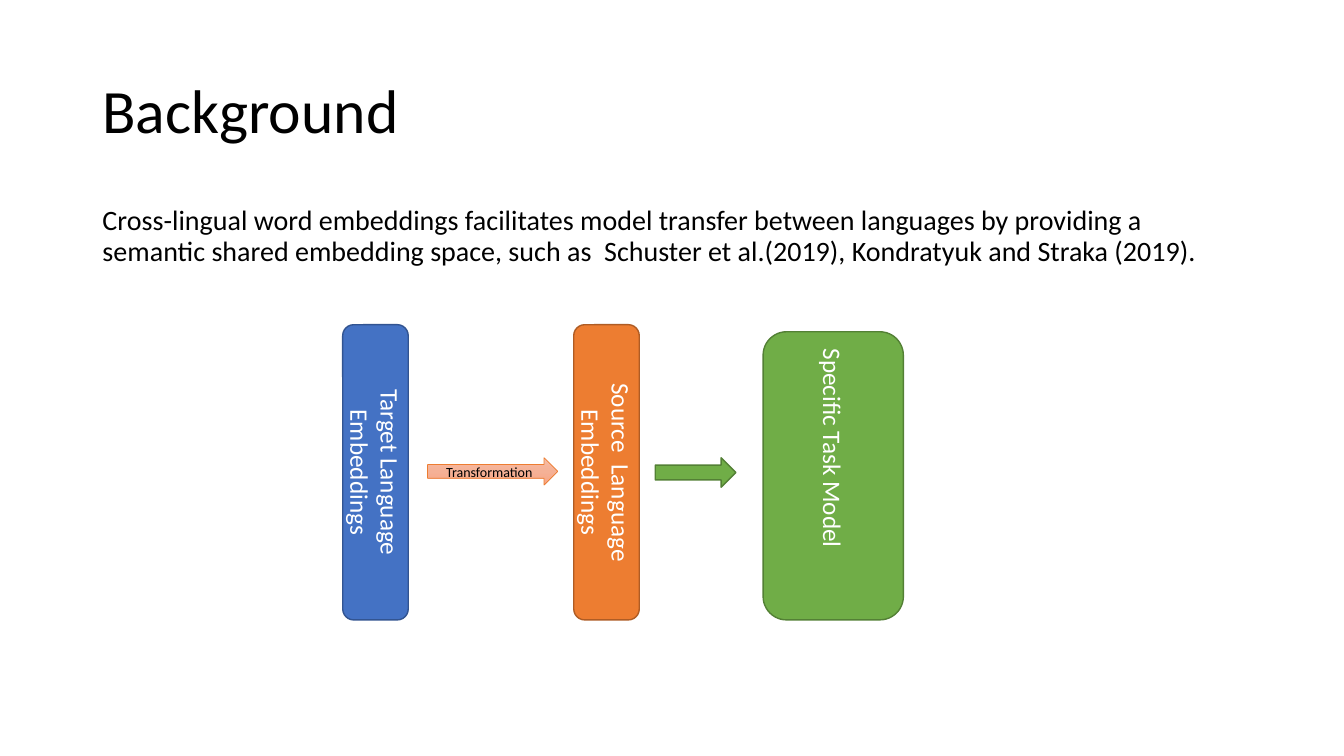
from copy import deepcopy
from dataclasses import dataclass

from lxml.etree import SubElement
from pptx import Presentation
from pptx.dml.color import RGBColor
from pptx.enum.shapes import MSO_SHAPE
from pptx.enum.text import MSO_ANCHOR, PP_ALIGN
from pptx.oxml.ns import qn
from pptx.util import Inches, Pt


@dataclass(frozen=True)
class Theme:
    font: str = "Calibri"
    head: int = 44
    body: int = 20
    label: int = 18
    small: int = 10
    ink: str = "000000"
    paper: str = "FFFFFF"
    blue: tuple = ("4472C4", "325491")
    orange: tuple = ("ED7D31", "AF5C24")
    green: tuple = ("70AD47", "538035")
    peach: tuple = (("F7BDA5", "F5B196", "F8A582"), "ED7D31")


def write(frame, text, *, font, size, color, align=PP_ALIGN.LEFT,
          anchor=MSO_ANCHOR.MIDDLE, lead=1.0, before=0, turn=None):
    frame.word_wrap = True
    frame.vertical_anchor = anchor
    if turn:
        frame._txBody.bodyPr.set("vert", turn)
    para = frame.paragraphs[0]
    para.alignment = align
    para.line_spacing = lead
    para.space_before = Pt(before)
    run = para.add_run()
    run.text = text
    run.font.name = font
    run.font.size = Pt(size)
    run.font.color.rgb = RGBColor.from_string(color)
    return para


class Board:
    """Places elements on a grid of 160 columns by 90 rows."""

    def __init__(self, deck, theme):
        self.theme = theme
        self.col = deck.slide_width / 160
        self.row = deck.slide_height / 90
        self.slide = deck.slides.add_slide(deck.slide_layouts[1])

    def area(self, left, top, width, height):
        return [round(n * unit) for n, unit in
                zip((left, top, width, height), (self.col, self.row) * 2)]

    def holder(self, index, text, area, **style):
        item = self.slide.placeholders[index]
        item.left, item.top, item.width, item.height = self.area(*area)
        return write(item.text_frame, text, font=self.theme.font,
                     color=self.theme.ink, lead=0.9, **style)

    def title(self, text, area):
        self.holder(0, text, area, size=self.theme.head)

    def body(self, text, area):
        para = self.holder(1, text, area, size=self.theme.body,
                           anchor=MSO_ANCHOR.TOP, before=10)
        props = para._p.get_or_add_pPr()
        props.set("marL", "0")
        props.set("indent", "0")
        SubElement(props, qn("a:buNone"))

    def shape(self, kind, area, paint, weight=1):
        item = self.slide.shapes.add_shape(kind, *self.area(*area))
        item.shadow.inherit = False
        fill, edge = paint
        if isinstance(fill, tuple):
            self.blend(item, fill)
        else:
            item.fill.solid()
            item.fill.fore_color.rgb = RGBColor.from_string(fill)
        item.line.color.rgb = RGBColor.from_string(edge)
        item.line.width = Pt(weight)
        return item

    def blend(self, item, colors):
        item.fill.gradient()
        item.fill.gradient_angle = 270
        stops = next(item.element.iter(qn("a:gsLst")))
        while len(stops) < len(colors):
            stops.append(deepcopy(stops[0]))
        for i, (stop, color) in enumerate(zip(item.fill.gradient_stops, colors)):
            stop.color.rgb = RGBColor.from_string(color)
            stop.position = i / (len(colors) - 1)

    def box(self, text, area, paint, turn, spin=0):
        item = self.shape(MSO_SHAPE.ROUNDED_RECTANGLE, area, paint)
        item.rotation = spin
        write(item.text_frame, text, font=self.theme.font, size=self.theme.label,
              color=self.theme.paper, align=PP_ALIGN.CENTER, turn=turn)

    def arrow(self, area, paint, text="", weight=1):
        item = self.shape(MSO_SHAPE.RIGHT_ARROW, area, paint, weight)
        if text:
            write(item.text_frame, text, font=self.theme.font,
                  size=self.theme.small, color=self.theme.ink,
                  align=PP_ALIGN.CENTER)


def main():
    deck = Presentation()
    deck.slide_width, deck.slide_height = Inches(13.33), Inches(7.5)
    theme = Theme()
    board = Board(deck, theme)

    # Heading and statement
    board.title("Background", (11, 4.8, 138, 17.4))
    board.body("Cross-lingual word embeddings facilitates model transfer between "
               "languages by providing a semantic shared embedding space, such as  "
               "Schuster et al.(2019), Kondratyuk and Straka (2019).",
               (11, 24, 138, 57.1))

    # Embedding spaces
    for text, left, paint in (
            ("Target Language Embeddings", 40.8, theme.blue),
            ("Source  Language Embeddings", 68.3, theme.orange)):
        board.box(text, (left, 38.65, 7.8, 35.15), paint, "vert270", spin=180)

    # Task model
    board.box("Specific Task Model", (90.85, 39.5, 16.7, 34.3),
              theme.green, "eaVert")

    # Flow from target to model
    board.arrow((50.9, 54.5, 15.5, 3.25), theme.peach, "Transformation", 0.5)
    board.arrow((78, 54.5, 9.6, 3.5), theme.green)

    deck.save("out.pptx")


if __name__ == "__main__":
    main()
